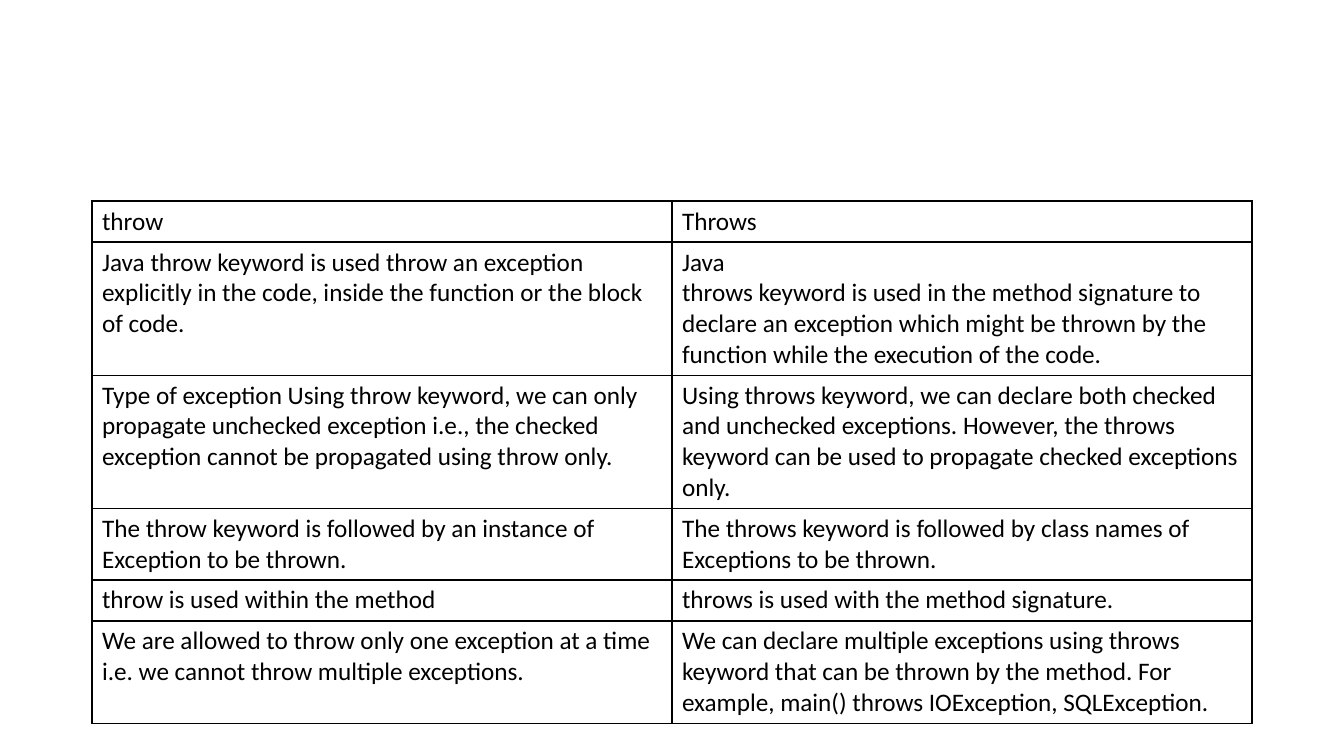
import pptx
import pptx.util
import pptx.dml.color
import pptx.oxml
import pptx.oxml.ns

PX = 914400 / 100.8
FONT, INK = "Calibri", "000000"

# Each cell is a list of paragraphs
ROWS = [
    (["throw"], ["Throws"]),
    (["Java throw keyword is used throw an exception explicitly in the code, "
      "inside the function or the block of code."],
     ["Java ",
      "throws keyword is used in the method signature to declare an exception "
      "which might be thrown by the function while the execution of the code."]),
    (["Type of exception Using throw keyword, we can only propagate unchecked "
      "exception i.e., the checked exception cannot be propagated using throw only."],
     ["Using throws keyword, we can declare both checked and unchecked exceptions. "
      "However, the throws keyword can be used to propagate checked exceptions only."]),
    (["The throw keyword is followed by an instance of Exception to be thrown."],
     ["The throws keyword is followed by class names of Exceptions to be thrown."]),
    (["throw is used within the method"],
     ["throws is used with the method signature."]),
    (["We are allowed to throw only one exception at a time i.e. we cannot throw "
      "multiple exceptions."],
     ["We can declare multiple exceptions using throws keyword that can be thrown "
      "by the method. For example, main() throws IOException, SQLException."]),
]


def px(n):
    return pptx.util.Emu(round(n * PX))


def color(value):
    return pptx.dml.color.RGBColor.from_string(value)


def add_borders(cell, value, width):
    tc_pr = cell._tc.get_or_add_tcPr()
    for i, side in enumerate(("lnL", "lnR", "lnT", "lnB")):
        ln = pptx.oxml.parse_xml(
            f'<a:{side} {pptx.oxml.ns.nsdecls("a")} w="{pptx.util.Pt(width)}">'
            f'<a:solidFill><a:srgbClr val="{value}"/></a:solidFill></a:{side}>')
        tc_pr.insert(i, ln)


def fill_cell(cell, paragraphs):
    cell.fill.background()
    add_borders(cell, INK, 1)
    tf = cell.text_frame
    for i, text in enumerate(paragraphs):
        p = tf.add_paragraph() if i else tf.paragraphs[0]
        r = p.add_run()
        r.text = text
        r.font.name, r.font.size = FONT, pptx.util.Pt(18)
        r.font.color.rgb = color(INK)


def add_comparison(s, left, top, width, height, row_height):
    sp = s.shapes.add_table(len(ROWS), 2, px(left), px(top), px(width), px(height))
    table = sp.table
    table.first_row = table.horz_banding = False
    for row, texts in zip(table.rows, ROWS):
        row.height = px(row_height)  # rows grow with their text
        for cell, paragraphs in zip(row.cells, texts):
            fill_cell(cell, paragraphs)
    sp.height = px(height)


prs = pptx.Presentation()
prs.slide_width, prs.slide_height = px(1344), px(756)
s = prs.slides.add_slide(prs.slide_layouts[6])
s.background.fill.solid()
s.background.fill.fore_color.rgb = color("FFFFFF")

# Comparison of throw and throws
add_comparison(s, 92, 201, 1160, 515, 41)

prs.save("out.pptx")
